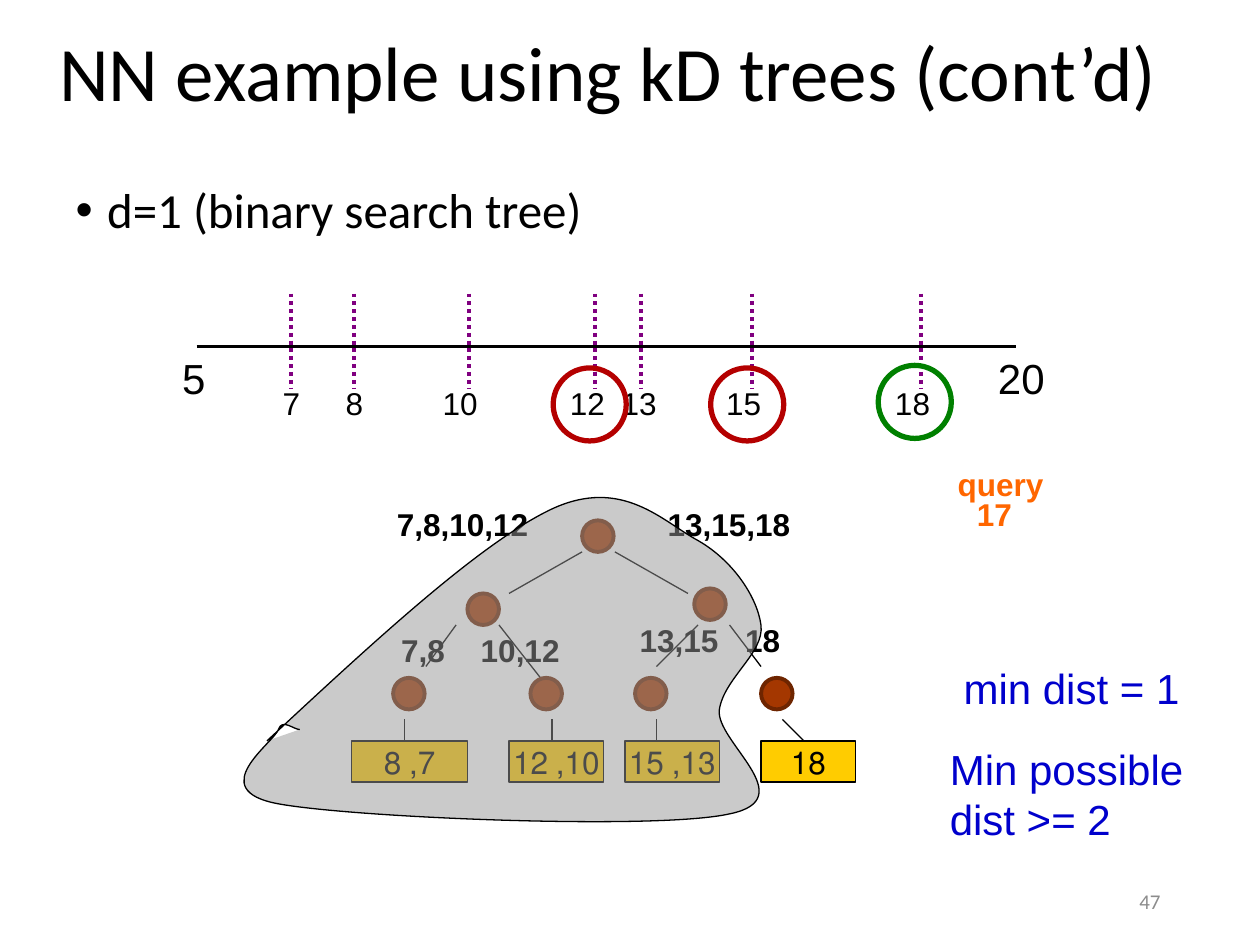
from collections import namedtuple

from lxml.etree import SubElement
from pptx import Presentation
from pptx.dml.color import RGBColor
from pptx.enum.dml import MSO_LINE
from pptx.enum.shapes import MSO_CONNECTOR, MSO_SHAPE
from pptx.enum.text import MSO_ANCHOR, MSO_AUTO_SIZE, PP_ALIGN
from pptx.oxml.ns import qn
from pptx.util import Inches, Pt

BLACK = RGBColor(0x00, 0x00, 0x00)
PURPLE = RGBColor(0x80, 0x00, 0x80)
YELLOW = RGBColor(0xFF, 0xCC, 0x00)
BROWN = RGBColor(0xA4, 0x37, 0x00)
DARK_BROWN = RGBColor(0x6E, 0x25, 0x00)
ORANGE = RGBColor(0xFF, 0x66, 0x00)
RED = RGBColor(0xB4, 0x00, 0x00)
GREEN = RGBColor(0x00, 0x80, 0x00)
BLUE = RGBColor(0x00, 0x00, 0xCC)
GRAY = RGBColor(0x96, 0x96, 0x96)
PAGE_NUMBER_GRAY = RGBColor(0x8C, 0x8C, 0x8C)

Box = namedtuple("Box", "left top width height")


def inside(box, left, top, width, height):
    return Box(box.left + Inches(left), box.top + Inches(top), Inches(width), Inches(height))


def inches_box(*lengths):
    return Box(*(Inches(length) for length in lengths))


def write(frame, text, size=18, font="Arial", color=BLACK, bold=False, align=PP_ALIGN.RIGHT):
    para = frame.paragraphs[0]
    para.alignment = align
    span = para.add_run()
    span.text = text
    span.font.size = Pt(size)
    span.font.name = font
    span.font.bold = bold
    span.font.color.rgb = color
    return para


def add_label(page, box, text, anchor=MSO_ANCHOR.TOP, **style):
    frame = page.shapes.add_textbox(*box).text_frame
    frame.word_wrap = True
    frame.auto_size = MSO_AUTO_SIZE.NONE
    frame.vertical_anchor = anchor
    return write(frame, text, **style)


def add_line(page, box, start, end, color=BLACK, width=0.75, dash=None):
    (x1, y1), (x2, y2) = start, end
    line = page.shapes.add_connector(
        MSO_CONNECTOR.STRAIGHT,
        box.left + Inches(x1), box.top + Inches(y1),
        box.left + Inches(x2), box.top + Inches(y2),
    )
    line.line.color.rgb = color
    line.line.width = Pt(width)
    if dash:
        line.line.dash_style = dash
    SubElement(line._element.spPr, qn("a:effectLst"))


def paint(shape, fill, outline, width):
    shape.shadow.inherit = False
    if fill is None:
        shape.fill.background()
    else:
        shape.fill.solid()
        shape.fill.fore_color.rgb = fill
    shape.line.color.rgb = outline
    shape.line.width = Pt(width)


def add_figure(page, kind, box, fill, outline, width):
    shape = page.shapes.add_shape(kind, *box)
    paint(shape, fill, outline, width)
    return shape


def place(holder, box):
    holder.left, holder.top, holder.width, holder.height = box


def fill_title(page, box):
    title = page.shapes.title
    place(title, box)
    title.text_frame.vertical_anchor = MSO_ANCHOR.MIDDLE
    para = write(title.text_frame, "NN example using kD trees (cont’d)",
                 size=44, font="Calibri", align=PP_ALIGN.LEFT)
    para.line_spacing = 0.9


def fill_body(page, box):
    body = page.placeholders[1]
    place(body, box)
    para = write(body.text_frame, "d=1 (binary search tree)",
                 size=28, font="Calibri", align=PP_ALIGN.LEFT)
    para.line_spacing = 0.9
    para.space_before = Pt(0)
    props = para._p.get_or_add_pPr()
    props.set("marL", str(Inches(0.25)))
    props.set("indent", str(-Inches(0.25)))
    SubElement(props, qn("a:buFont")).set("typeface", "Arial")
    SubElement(props, qn("a:buChar")).set("char", "•")


def add_number_line(page, box):
    add_line(page, box, (0, 0.42), (6.5, 0.42), width=2.25)
    for text, left, width in [("5", -0.25, 0.42), ("20", 6.16, 0.67)]:
        add_label(page, inside(box, left, 0.42, width, 0.5), text, size=24)
    points = [("7", 0.75, 0.25, 0.67), ("8", 1.25, 1, 0.42), ("10", 2.16, 1.66, 0.67),
              ("12", 3.16, 2.67, 0.67), ("13", 3.53, 3.08, 0.67),
              ("15", 4.41, 3.91, 0.67), ("18", 5.75, 5.25, 0.67)]
    for text, tick, left, width in points:
        add_line(page, box, (tick, 0), (tick, 0.75), PURPLE, 2.25, MSO_LINE.ROUND_DOT)
        add_label(page, inside(box, left, 0.67, width, 0.4), text)
    for left, top, color in [(2.83, 0.59, RED), (4.08, 0.59, RED), (5.41, 0.57, GREEN)]:
        add_figure(page, MSO_SHAPE.OVAL, inside(box, left, top, 0.58, 0.58), None, color, 3)


def add_pruned_region(page, box):
    points = [
        (0.12, 1.88), (0.97, 1.09), (1.81, 0.31), (2.38, 0.04), (2.94, -0.22),
        (3.26, 0.14), (3.54, 0.29), (3.82, 0.45), (4.01, 0.74), (4.04, 0.96),
        (4.07, 1.18), (3.75, 1.38), (3.71, 1.63), (3.67, 1.88), (4.38, 2.34),
        (3.79, 2.46), (3.21, 2.59), (0.81, 2.49), (0.21, 2.38), (-0.39, 2.27),
        (0.18, 1.89), (0.21, 1.79), (0.24, 1.7), (0.33, 1.79), (0.38, 1.79),
    ]
    start, *rest = [(box.left + Inches(x), box.top + Inches(y)) for x, y in points]
    builder = page.shapes.build_freeform(*start)
    builder.add_line_segments(rest, close=False)
    region = builder.convert_to_shape()
    paint(region, GRAY, BLACK, 0.75)
    outline = next(region._element.iter(qn("a:path")))
    segments = outline.findall(qn("a:lnTo"))
    for first in range(0, len(segments), 3):
        curve = SubElement(outline, qn("a:cubicBezTo"))
        for segment in segments[first:first + 3]:
            curve.append(segment[0])
            outline.remove(segment)
    color = next(region._element.spPr.find(qn("a:solidFill")).iter(qn("a:srgbClr")))
    SubElement(color, qn("a:alpha")).set("val", "50000")


def add_tree(page, box):
    leaves = [("7, 8", 0.79, 0.92), ("10, 12", 2.04, 0.75),
              ("13, 15", 2.96, 0.75), ("18", 4.04, 0.75)]
    for text, left, width in leaves:
        leaf = add_figure(page, MSO_SHAPE.RECTANGLE, inside(box, left, 1.88, width, 0.33),
                          YELLOW, BLACK, 1)
        leaf.text_frame.word_wrap = False
        leaf.text_frame.vertical_anchor = MSO_ANCHOR.MIDDLE
        para = write(leaf.text_frame, text, align=PP_ALIGN.CENTER)
        para._p.get_or_add_pPr().set("rtl", "1")
    branches = [
        ((2.62, 0.38), (2.04, 0.71)), ((2.88, 0.38), (3.46, 0.71)),
        ((1.62, 0.96), (1.38, 1.29)), ((1.96, 0.96), (2.29, 1.38)),
        ((3.54, 0.96), (3.21, 1.29)), ((3.79, 0.96), (4.04, 1.29)),
        ((1.21, 1.71), (1.21, 1.88)), ((2.38, 1.71), (2.38, 1.88)),
        ((3.21, 1.71), (3.21, 1.88)), ((4.21, 1.71), (4.38, 1.88)),
    ]
    for start, end in branches:
        add_line(page, box, start, end)
    nodes = [(2.62, 0.13), (1.71, 0.71), (3.51, 0.67),
             (1.12, 1.38), (2.21, 1.38), (3.04, 1.38), (4.04, 1.38)]
    for left, top in nodes:
        add_figure(page, MSO_SHAPE.OVAL, inside(box, left, top, 0.25, 0.25),
                   BROWN, DARK_BROWN, 2.25)
    labels = [("7,8,10,12", 1.04, -0.04, 1.25), ("13,15,18", 3.12, -0.04, 1.25),
              ("7,8", 0.96, 0.96, 0.67), ("10,12", 1.71, 0.96, 0.83),
              ("13,15", 2.88, 0.88, 0.92), ("18", 3.79, 0.88, 0.5)]
    for text, left, top, width in labels:
        add_label(page, inside(box, left, top, width, 0.4), text, bold=True)
    add_pruned_region(page, box)


def add_query_notes(page, box):
    add_label(page, inside(box, 0, 0.24, 0.67, 0.4), "17", color=ORANGE, bold=True)
    add_label(page, inside(box, 0, 0, 0.92, 0.4), "query", color=ORANGE, bold=True)
    add_label(page, inside(box, 0, 1.57, 2, 0.5), "min dist = 1", size=24, color=BLUE)
    add_label(page, inside(box, -0.02, 2.21, 2.14, 0.91), "Min possible dist >= 2",
              size=24, color=BLUE, align=PP_ALIGN.LEFT)


def main():
    deck = Presentation()
    deck.slide_width, deck.slide_height = Inches(10), Inches(7.5)
    page = deck.slides.add_slide(deck.slide_layouts[1])
    fill_title(page, inches_box(0.37, 0.11, 9, 0.99))
    fill_body(page, inches_box(0.5, 1.43, 8.67, 4.95))
    add_number_line(page, inches_box(1.56, 2.33, 6.5, 1.17))
    add_tree(page, inches_box(2, 4, 4.79, 2.59))
    add_query_notes(page, inches_box(7.46, 3.64, 2.12, 3.12))
    add_label(page, inches_box(7.06, 6.95, 2.25, 0.4), "47", anchor=MSO_ANCHOR.MIDDLE,
              size=12, font="Calibri", color=PAGE_NUMBER_GRAY)
    deck.save("out.pptx")


if __name__ == "__main__":
    main()
